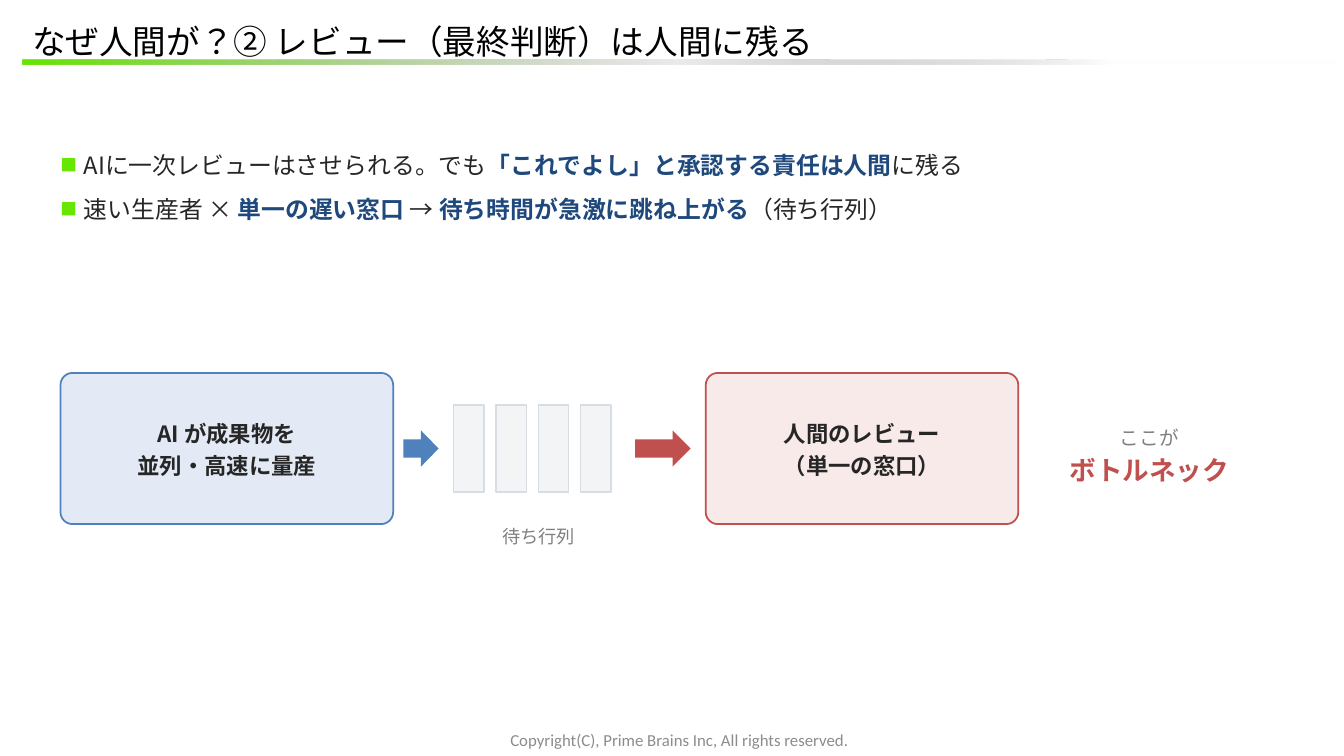
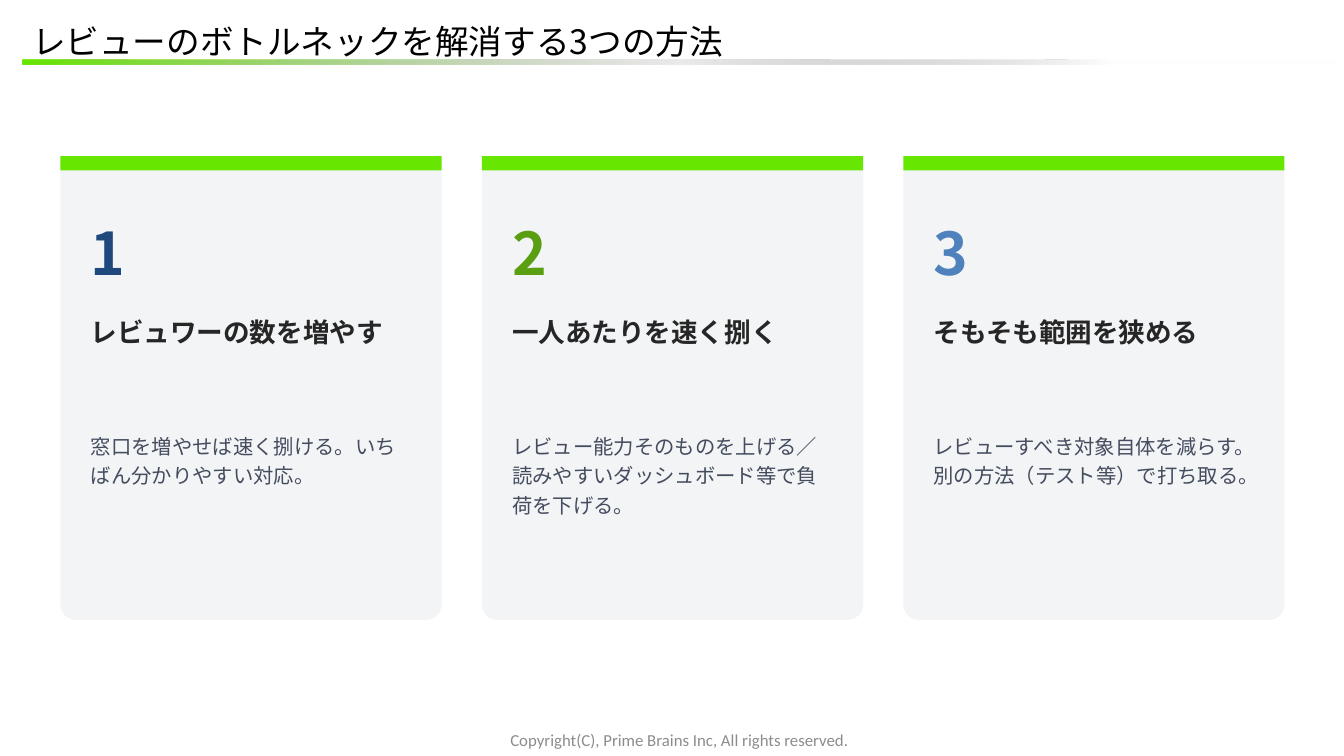
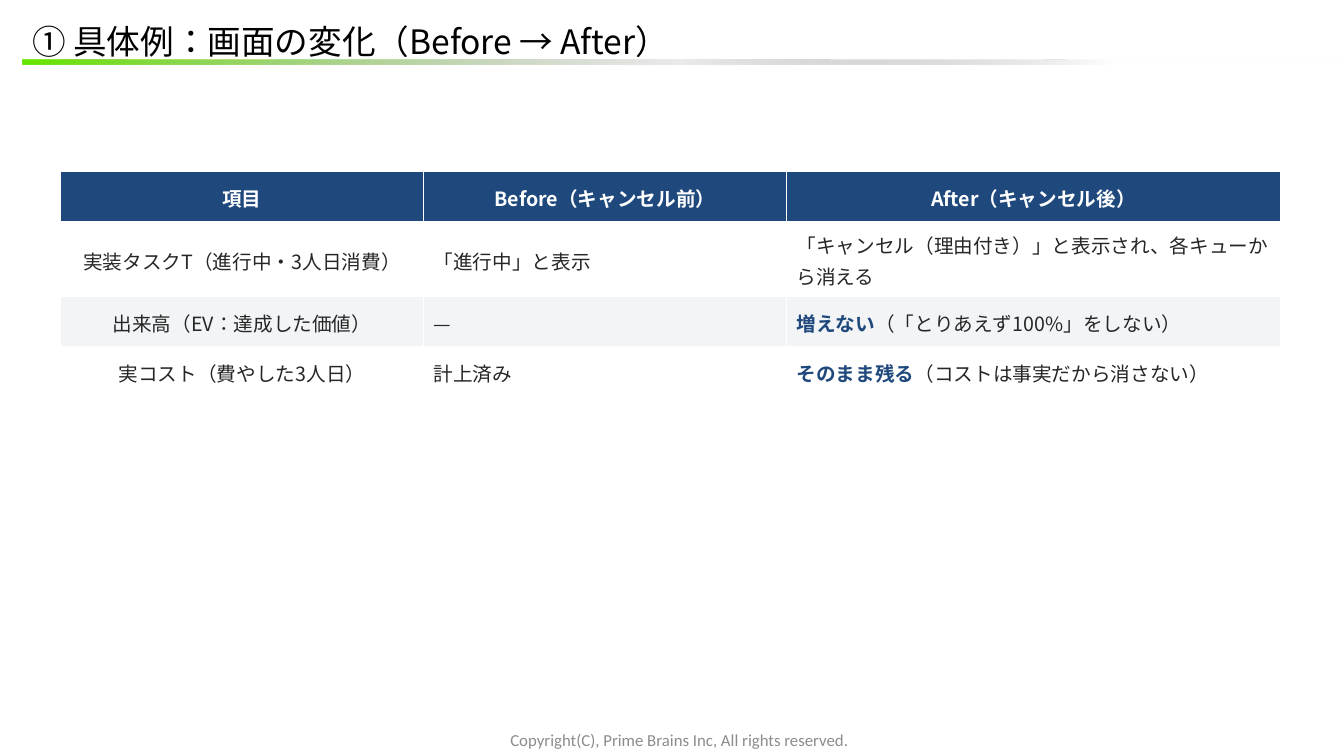
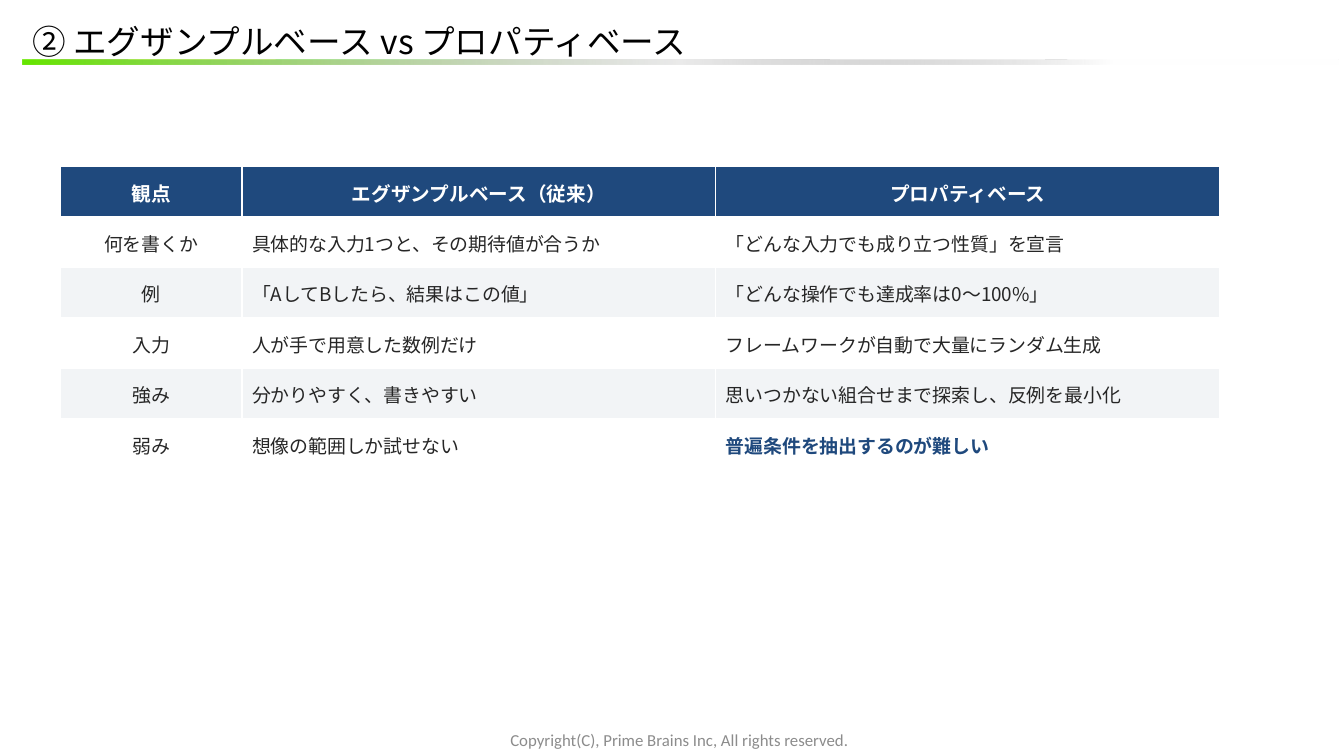
from lxml.etree import SubElement
from pptx import Presentation
from pptx.dml.color import RGBColor
from pptx.enum.lang import MSO_LANGUAGE_ID
from pptx.enum.shapes import MSO_SHAPE
from pptx.enum.text import MSO_ANCHOR, PP_ALIGN
from pptx.oxml import parse_xml
from pptx.oxml.ns import nsdecls, qn
from pptx.util import Pt

SCALE = 9144
FONT = "Noto Sans CJK JP"
GREEN, LEAF, NAVY, BLUE, RED = "66E600", "5A9E12", "1F497D", "4F81BD", "C0504D"
INK, SLATE, GREY, PALE, WHITE = "262626", "444C5E", "808080", "F2F4F6", "FFFFFF"
FADE = f"""<a:gradFill rotWithShape="1" {nsdecls("a")}><a:gsLst>
<a:gs pos="17000"><a:srgbClr val="{WHITE}"/></a:gs>
<a:gs pos="50000"><a:srgbClr val="{GREY}"><a:alpha val="16000"/></a:srgbClr></a:gs>
<a:gs pos="100000"><a:srgbClr val="{GREEN}"/></a:gs>
</a:gsLst><a:lin ang="10800000" scaled="0"/></a:gradFill>"""


def px(*nums):
    return [num * SCALE for num in nums]


def tint(code):
    return RGBColor.from_string(code)


class Deck:
    def __init__(self):
        self.file = Presentation()
        self.file.slide_width, self.file.slide_height = px(1333, 750)
        self.slide = None

    def page(self, title):
        self.slide = self.file.slides.add_slide(self.file.slide_layouts[6])
        rule = self.shape(MSO_SHAPE.RECTANGLE, 22, 59, 1305, 5, WHITE)
        fill = rule._element.spPr.find(qn("a:solidFill"))
        fill.getparent().replace(fill, parse_xml(FADE))
        foot = self.box(27, 725, 1294, 18, middle=True)
        self.para(foot, "Copyright(C), Prime Brains Inc, All rights reserved.",
                  12, "8C8C8C", center=True, space=1, font="Calibri")
        head = self.box(22, 23, 1294, 36, middle=True, inset=10)
        self.para(head, title, 24, "000000", space=1)

    def shape(self, kind, x, y, w, h, fill, line=None, weight=1, round=None):
        shape = self.slide.shapes.add_shape(kind, *px(x, y, w, h))
        shape.shadow.inherit = False
        shape.fill.solid()
        shape.fill.fore_color.rgb = tint(fill)
        if line:
            shape.line.color.rgb = tint(line)
            shape.line.width = Pt(weight)
        else:
            shape.line.fill.background()
        if round:
            shape.adjustments[0] = round
        return shape

    def box(self, x, y, w, h, middle=False, inset=0):
        frame = self.slide.shapes.add_textbox(*px(x, y, w, h)).text_frame
        frame.word_wrap = True
        frame.margin_left = frame.margin_right = inset * SCALE
        frame.margin_top = frame.margin_bottom = 0
        if middle:
            frame.vertical_anchor = MSO_ANCHOR.MIDDLE
        return frame

    def para(self, frame, line, size, color=INK, bold=False, center=False,
             space=1.15, before=0, after=0, font=FONT, bullet=False):
        para = frame.add_paragraph() if frame.text else frame.paragraphs[0]
        para.alignment = PP_ALIGN.CENTER if center else PP_ALIGN.LEFT
        para.line_spacing = space
        para.space_before, para.space_after = Pt(before), Pt(after)
        if bullet:
            self.mark(para)
        for spot, piece in enumerate(line.split("*")):
            if not piece:
                continue
            key = spot % 2 == 1
            run = para.add_run()
            run.text = piece
            run.font.size = Pt(size)
            run.font.bold = bold or key
            run.font.color.rgb = tint(NAVY if key else color)
            run.font.name = font
            run.font.language_id = MSO_LANGUAGE_ID.JAPANESE
            SubElement(run.font._element, qn("a:ea")).set("typeface", font)

    def mark(self, para):
        props = para._p.get_or_add_pPr()
        props.set("marL", str(23 * SCALE))
        props.set("indent", str(-23 * SCALE))
        SubElement(SubElement(props, qn("a:buClr")), qn("a:srgbClr")).set("val", GREEN)
        SubElement(props, qn("a:buSzPct")).set("val", "70000")
        SubElement(props, qn("a:buFont")).set("typeface", FONT)
        SubElement(props, qn("a:buChar")).set("char", "■")

    def panel(self, x, y, w, h, fill, edge, lines):
        shape = self.shape(MSO_SHAPE.ROUNDED_RECTANGLE, x, y, w, h, fill, edge, 1.25, 0.08)
        frame = shape.text_frame
        frame.vertical_anchor = MSO_ANCHOR.MIDDLE
        for line in lines:
            self.para(frame, line, 16, bold=True, center=True, space=1.1, after=2)

    def card(self, x, y, w, num, color, head, body):
        self.shape(MSO_SHAPE.ROUNDED_RECTANGLE, x, y, w, 460, PALE, round=0.04)
        self.shape(MSO_SHAPE.RECTANGLE, x, y, w, 14, GREEN)
        left, wide = x + 30, w - 60
        self.para(self.box(left, y + 50, wide, 100), num, 42, color, bold=True)
        self.para(self.box(left, y + 155, wide, 100), head, 19, bold=True, space=1.12, after=2)
        self.para(self.box(left, y + 270, wide, 170), body, 14.5, SLATE, space=1.22)

    def table(self, x, y, cols, highs, rows, size):
        grid = self.slide.shapes.add_table(
            len(rows), len(cols), *px(x, y, sum(cols), sum(highs))).table
        for col, wide in zip(grid.columns, cols):
            col.width = wide * SCALE
        for band, high in zip(grid.rows, highs):
            band.height = high * SCALE
        for r, row in enumerate(rows):
            top = r == 0
            for c, line in enumerate(row):
                cell = grid.cell(r, c)
                cell.vertical_anchor = MSO_ANCHOR.MIDDLE
                cell.fill.solid()
                cell.fill.fore_color.rgb = tint(NAVY if top else WHITE if r % 2 else PALE)
                self.para(cell.text_frame, line, 14 if top else size, WHITE if top else INK,
                          bold=top, center=top or c == 0, space=1.1)


def queue(deck):
    deck.page("なぜ人間が？② レビュー（最終判断）は人間に残る")
    notes = deck.box(60, 145, 1213, 150)
    deck.para(notes, "AIに一次レビューはさせられる。でも*「これでよし」と承認する責任は人間*に残る",
              17, after=6, bullet=True)
    deck.para(notes, "速い生産者 × *単一の遅い窓口* → *待ち時間が急激に跳ね上がる*（待ち行列）",
              17, before=2, bullet=True)
    deck.panel(60, 370, 330, 150, "E3EAF5", BLUE, ["AI が成果物を", "並列・高速に量産"])
    deck.shape(MSO_SHAPE.RIGHT_ARROW, 400, 427, 35, 36, BLUE)
    for spot in range(4):
        deck.shape(MSO_SHAPE.RECTANGLE, 450 + 42 * spot, 402, 30, 86, PALE, "D7DDE3")
    deck.para(deck.box(450, 518, 168, 35), "待ち行列", 13, GREY, center=True)
    deck.shape(MSO_SHAPE.RIGHT_ARROW, 630, 427, 55, 36, RED)
    deck.panel(700, 370, 310, 150, "F7EAE9", RED, ["人間のレビュー", "（単一の窓口）"])
    label = deck.box(1030, 403, 220, 95, middle=True)
    deck.para(label, "ここが", 14, GREY, center=True)
    deck.para(label, "ボトルネック", 19, RED, bold=True, center=True)


def ways(deck):
    deck.page("レビューのボトルネックを解消する3つの方法")
    cards = [
        (NAVY, "レビュワーの数を増やす", "窓口を増やせば速く捌ける。いちばん分かりやすい対応。"),
        (LEAF, "一人あたりを速く捌く",
         "レビュー能力そのものを上げる／読みやすいダッシュボード等で負荷を下げる。"),
        (BLUE, "そもそも範囲を狭める",
         "レビューすべき対象自体を減らす。別の方法（テスト等）で打ち取る。"),
    ]
    for spot, card in enumerate(cards):
        deck.card(60 + 418 * spot, 155, 378, str(spot + 1), *card)


def change(deck):
    deck.page("① 具体例：画面の変化（Before → After）")
    deck.table(60, 170, [360, 360, 490], [50, 74, 50, 50], [
        ("項目", "Before（キャンセル前）", "After（キャンセル後）"),
        ("実装タスクT（進行中・3人日消費）", "「進行中」と表示",
         "「キャンセル（理由付き）」と表示され、各キューから消える"),
        ("出来高（EV：達成した価値）", "—", "*増えない*（「とりあえず100%」をしない）"),
        ("実コスト（費やした3人日）", "計上済み", "*そのまま残る*（コストは事実だから消さない）"),
    ], 14)


def styles(deck):
    deck.page("② エグザンプルベース vs プロパティベース")
    deck.table(60, 165, [180, 470, 500], [50] * 6, [
        ("観点", "エグザンプルベース（従来）", "プロパティベース"),
        ("何を書くか", "具体的な入力1つと、その期待値が合うか", "「どんな入力でも成り立つ性質」を宣言"),
        ("例", "「AしてBしたら、結果はこの値」", "「どんな操作でも達成率は0〜100%」"),
        ("入力", "人が手で用意した数例だけ", "フレームワークが自動で大量にランダム生成"),
        ("強み", "分かりやすく、書きやすい", "思いつかない組合せまで探索し、反例を最小化"),
        ("弱み", "想像の範囲しか試せない", "*普遍条件を抽出するのが難しい*"),
    ], 13.5)


def main():
    deck = Deck()
    for build in (queue, ways, change, styles):
        build(deck)
    deck.file.save("out.pptx")


if __name__ == "__main__":
    main()
